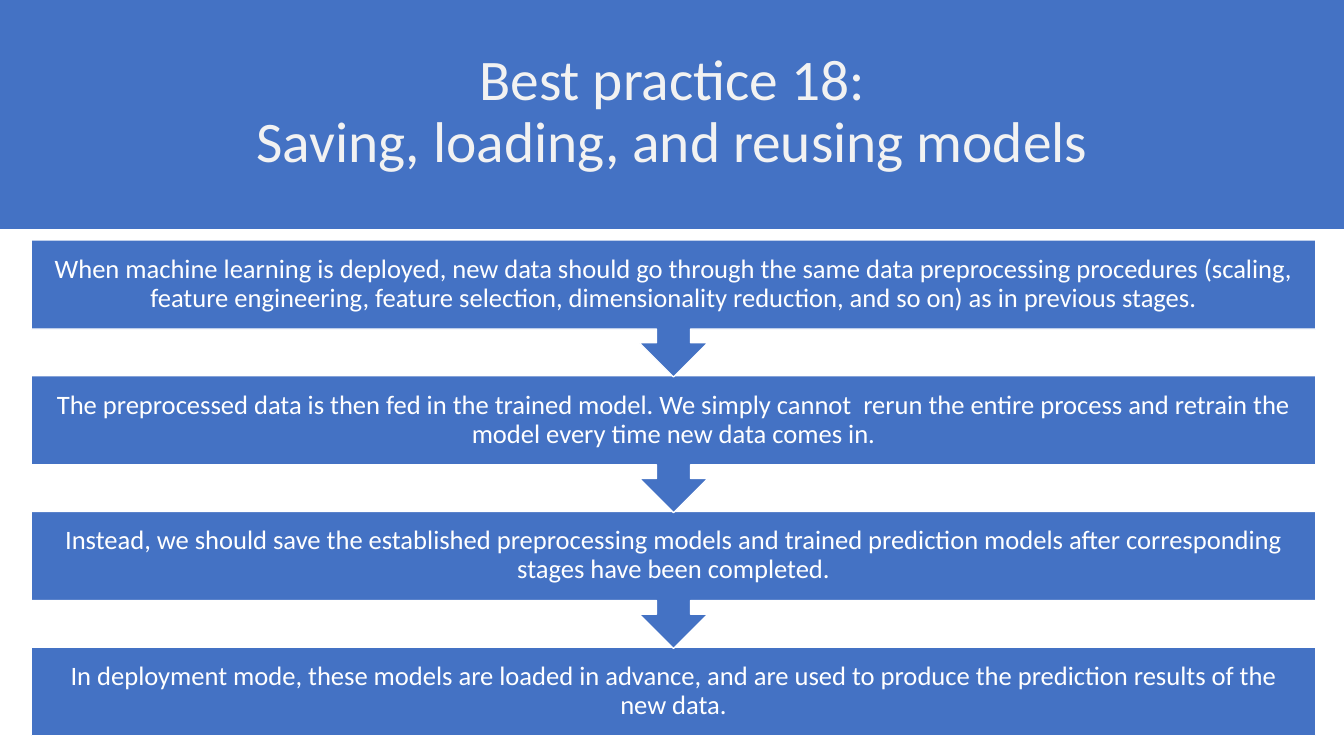
from dataclasses import dataclass

import pptx
import pptx.dml.color
import pptx.enum.shapes
import pptx.enum.text
import pptx.util

Inches = pptx.util.Inches
SHAPE = pptx.enum.shapes.MSO_SHAPE
COLORS = {"blue": "4472C4", "white": "FFFFFF", "title": "F2F2F2"}
FONT = "Calibri"


@dataclass(frozen=True)
class Box:
    """A rectangle on the slide, in inches."""
    left: float
    top: float
    width: float
    height: float

    def emu(self) -> list[int]:
        """Return the four lengths for python-pptx."""
        return [Inches(v) for v in (self.left, self.top, self.width, self.height)]


@dataclass(frozen=True)
class Step:
    """One stage of the process, with or without an arrow to the next."""
    text: str
    arrow: bool = True


STEPS = [
    Step("When machine learning is deployed, new data\u00a0should\u00a0go through "
         "the\u00a0same\u00a0data preprocessing procedures (scaling, feature engineering, "
         "feature selection, dimensionality reduction, and so on) as in previous stages."),
    Step("The preprocessed data is then fed in the trained model. We simply cannot  rerun "
         "the entire process and retrain the model every time new data comes in."),
    Step("Instead, we should save the established preprocessing models and trained "
         "prediction models after corresponding stages have been completed."),
    Step("In deployment mode, these models are loaded in advance, and are used to produce "
         "the prediction results of the new data.", arrow=False),
]
STEP_LEFT, STEP_WIDTH = 0.31, 12.74
FIRST_TOP, LAST_TOP = 2.38, 6.42
CALLOUT_HEIGHT, BODY_HEIGHT = 1.36, 0.88
PITCH = (LAST_TOP - FIRST_TOP) / (len(STEPS) - 1)


def rgb(name: str) -> pptx.dml.color.RGBColor:
    """Look up a named colour."""
    return pptx.dml.color.RGBColor.from_string(COLORS[name])


def add_text(s, text: str, box: Box, *, size: float, color: str,
             inset_x: float = 0.1, inset_y: float = 0.05) -> None:
    """Add centred, wrapped text in a box."""
    tf = s.shapes.add_textbox(*box.emu()).text_frame
    tf.word_wrap = True
    tf.vertical_anchor = pptx.enum.text.MSO_ANCHOR.MIDDLE
    tf.margin_left = tf.margin_right = Inches(inset_x)
    tf.margin_top = tf.margin_bottom = Inches(inset_y)
    p = tf.paragraphs[0]
    p.text = text
    p.alignment = pptx.enum.text.PP_ALIGN.CENTER
    p.line_spacing = 0.9
    for r in p.runs:
        r.font.name = FONT
        r.font.size = pptx.util.Pt(size)
        r.font.color.rgb = rgb(color)


def add_block(s, kind, box: Box, *, outlined: bool = False, rotation: float = 0) -> None:
    """Add a blue shape, with a thin white outline if asked."""
    sp = s.shapes.add_shape(kind, *box.emu())
    sp.shadow.inherit = False
    sp.rotation = rotation
    sp.fill.solid()
    sp.fill.fore_color.rgb = rgb("blue")
    if outlined:
        sp.line.color.rgb = rgb("white")
        sp.line.width = pptx.util.Pt(1)
    else:
        sp.line.fill.background()


def add_step(s, step: Step, top: float) -> None:
    """Draw one step and its text."""
    body = Box(STEP_LEFT, top, STEP_WIDTH, BODY_HEIGHT)
    if step.arrow:
        callout = Box(STEP_LEFT, top, STEP_WIDTH, CALLOUT_HEIGHT)
        add_block(s, SHAPE.UP_ARROW_CALLOUT, callout, outlined=True, rotation=180)
    else:
        add_block(s, SHAPE.RECTANGLE, body, outlined=True)
    add_text(s, step.text, body, size=19, color="white", inset_x=0.15, inset_y=0.15)


def main() -> None:
    """Build the slide and save it."""
    prs = pptx.Presentation()
    prs.slide_width, prs.slide_height = Inches(13.33), Inches(7.5)
    s = prs.slides.add_slide(prs.slide_layouts[6])
    add_block(s, SHAPE.RECTANGLE, Box(0, -0.01, 13.33, 2.28))
    add_text(s, "Best practice 18:\vSaving, loading, and reusing models",
             Box(0.92, 0.4, 11.5, 1.45), size=41, color="title")
    # Last step first, so each arrow tip lies over the step below it
    for i, step in reversed(list(enumerate(STEPS))):
        add_step(s, step, FIRST_TOP + i * PITCH)
    prs.save("out.pptx")


main()
